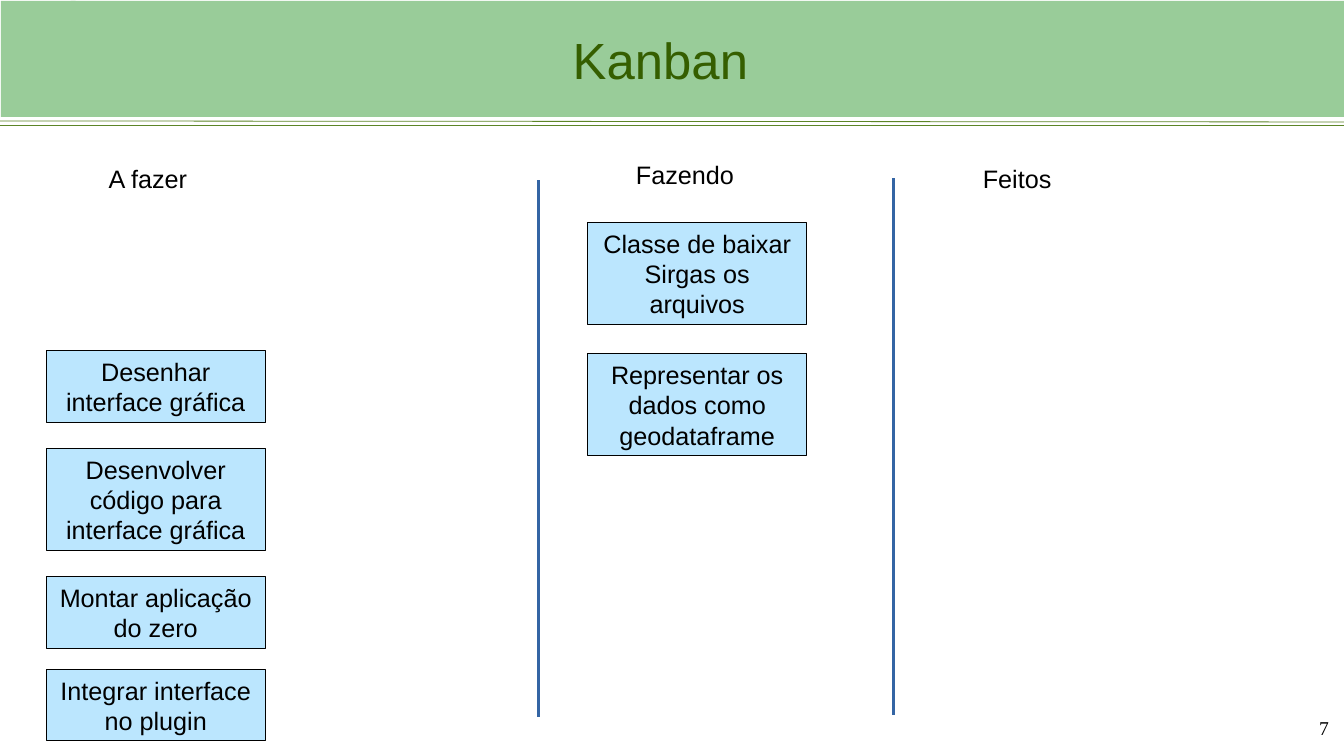
import dataclasses
import pptx
import pptx.dml.color
import pptx.enum.shapes
import pptx.enum.text
import pptx.oxml.ns
import pptx.util
import lxml.etree

ALIGN = pptx.enum.text.PP_ALIGN
ANCHOR = pptx.enum.text.MSO_ANCHOR
SIZE = pptx.enum.text.MSO_AUTO_SIZE


@dataclasses.dataclass(frozen=True)
class Theme:
    band: str = "99CC99"
    head: str = "355E00"
    rule: str = "5C8526"
    split: str = "3465A4"
    card: str = "BBE6FE"
    ink: str = "000000"
    sans: str = "Arial"
    serif: str = "Times New Roman"
    title: float = 36.3
    body: float = 18
    small: float = 14


THEME = Theme()


def px(count):
    return pptx.util.Emu(count * 9144)


def color(code):
    return pptx.dml.color.RGBColor.from_string(code)


def write(shape, text, size=THEME.body, ink=THEME.ink, face=THEME.sans,
          align=ALIGN.LEFT, anchor=ANCHOR.TOP, inset=(10, 5)):
    frame = shape.text_frame
    frame.text = text
    frame.word_wrap = True
    frame.vertical_anchor = anchor
    frame.margin_left = frame.margin_right = px(inset[0])
    frame.margin_top = frame.margin_bottom = px(inset[1])
    line = frame.paragraphs[0]
    line.alignment = align
    line.font.size = pptx.util.Pt(size)
    line.font.name = face
    line.font.color.rgb = color(ink)


def paint(shape, code):
    shape.fill.solid()
    shape.fill.fore_color.rgb = color(code)


def add_rect(slide, left, top, width, height, fill):
    shape = slide.shapes.add_shape(
        pptx.enum.shapes.MSO_SHAPE.RECTANGLE,
        px(left), px(top), px(width), px(height))
    shape.shadow.inherit = False
    paint(shape, fill)
    shape.line.fill.background()
    return shape


def add_line(slide, start, end, code, width):
    line = slide.shapes.add_connector(
        pptx.enum.shapes.MSO_CONNECTOR.STRAIGHT,
        px(start[0]), px(start[1]), px(end[0]), px(end[1]))
    line.line.color.rgb = color(code)
    line.line.width = pptx.util.Pt(width)
    lxml.etree.SubElement(
        line._element.spPr, pptx.oxml.ns.qn("a:effectLst"))


def add_text(slide, left, top, width, height, text, **style):
    box = slide.shapes.add_textbox(px(left), px(top), px(width), px(height))
    write(box, text, **style)


def add_card(slide, left, top, height, text):
    card = add_rect(slide, left, top, 217, height, THEME.card)
    card.line.color.rgb = color(THEME.ink)
    card.line.width = pptx.util.Pt(0.75)
    write(card, text, align=ALIGN.CENTER, anchor=ANCHOR.MIDDLE)
    card.text_frame.auto_size = SIZE.SHAPE_TO_FIT_TEXT


def add_title(slide, text):
    title = slide.shapes.title
    title.left, title.top = px(70), px(1)
    title.width, title.height = px(1170), px(115)
    paint(title, THEME.band)
    write(title, text, size=THEME.title, ink=THEME.head,
          align=ALIGN.CENTER, anchor=ANCHOR.MIDDLE, inset=(0, 0))
    title.text_frame.auto_size = SIZE.NONE


def main():
    deck = pptx.Presentation()
    deck.slide_width, deck.slide_height = px(1333), px(750)
    slide = deck.slides.add_slide(deck.slide_layouts[5])

    add_title(slide, "Kanban")
    for left, width in ((1, 74), (1230, 104)):
        add_rect(slide, left, 1, width, 115, THEME.band)
    for start, end in ((120, 121), (124, 124)):
        add_line(slide, (0, start), (1333, end), THEME.rule, 0.57)
    for left, top in ((534, 179), (886, 177)):
        add_line(slide, (left, top), (left, top + 532), THEME.split, 0)

    for left, top, text in ((98, 157, "A fazer"), (621, 153, "Fazendo"),
                            (965, 157, "Feitos")):
        add_text(slide, left, top, 177, 39, text)

    for left, top, height, text in (
            (46, 348, 71, "Desenhar interface gráfica"),
            (46, 445, 101, "Desenvolver código para interface gráfica"),
            (46, 572, 71, "Montar aplicação do zero"),
            (46, 664, 71, "Integrar interface no plugin"),
            (583, 221, 101, "Classe de baixar Sirgas os arquivos"),
            (583, 351, 101, "Representar os dados como geodataframe")):
        add_card(slide, left, top, height, text)

    add_text(slide, 1007, 710, 311, 25, "7", size=THEME.small,
             face=THEME.serif, align=ALIGN.RIGHT, inset=(0, 0))
    deck.save("out.pptx")


if __name__ == "__main__":
    main()
